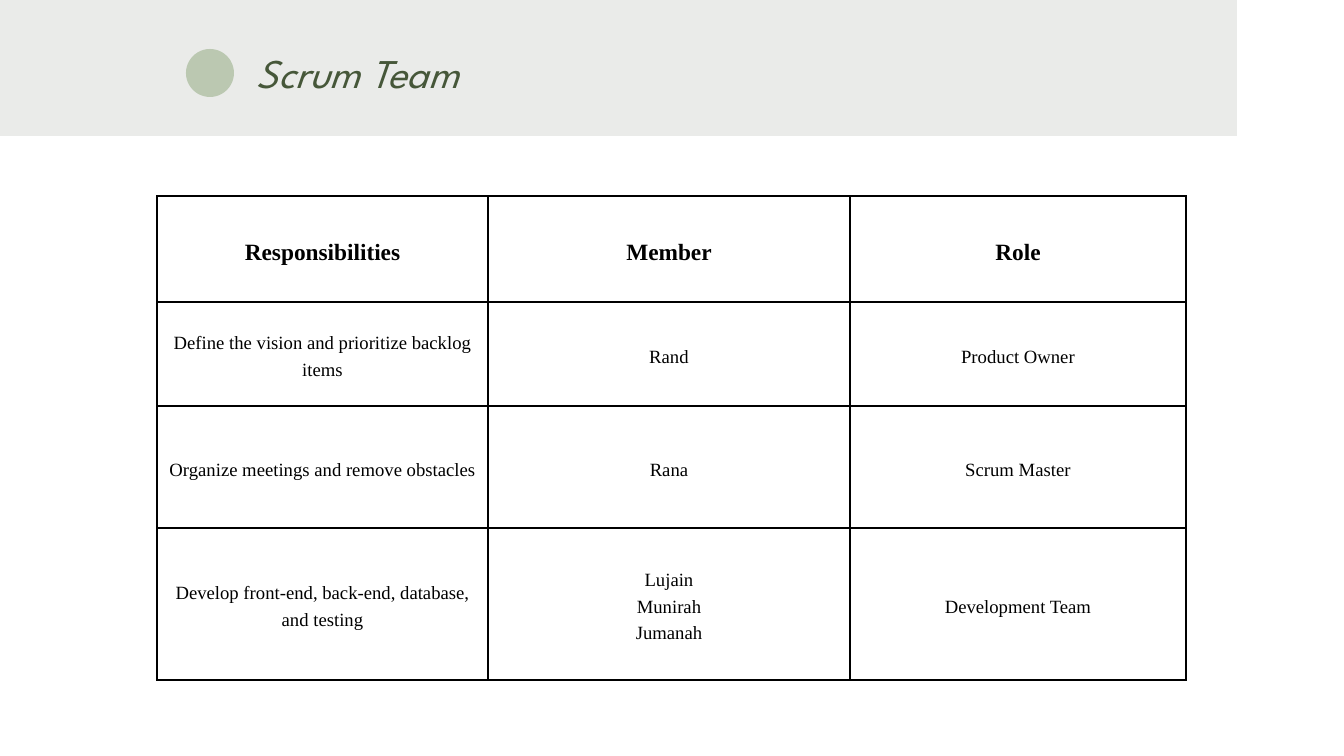
from typing import NamedTuple

from lxml.etree import SubElement
from pptx import Presentation
from pptx.dml.color import RGBColor
from pptx.enum.shapes import MSO_SHAPE
from pptx.enum.text import MSO_ANCHOR, MSO_AUTO_SIZE, PP_ALIGN
from pptx.oxml.ns import qn
from pptx.util import Emu, Pt

PX = 914400 / 67.2
COLORS = {
    "band": "EAEBE9",
    "dot": "BBC8B1",
    "title": "465739",
    "ink": "000000",
}
COL_WIDTHS = (331, 362, 336)
ROW_HEIGHTS = (106, 104, 122, 152)
CELL_MARGIN = 8


class Box(NamedTuple):
    left: int
    top: int
    width: int
    height: int


class TeamRow(NamedTuple):
    responsibilities: str
    member: str
    role: str


HEADER = TeamRow("Responsibilities", "Member", "Role")
TEAM = (
    TeamRow("Define the vision and prioritize backlog items", "Rand", "Product Owner"),
    TeamRow("Organize meetings and remove obstacles", "Rana", "Scrum Master"),
    TeamRow("Develop front-end, back-end, database, and testing",
            "Lujain\nMunirah\nJumanah", "Development Team"),
)


def px(n: int) -> Emu:
    return Emu(round(n * PX))


def emu_box(box: Box) -> list[Emu]:
    return [px(n) for n in box]


def rgb(name: str) -> RGBColor:
    return RGBColor.from_string(COLORS[name])


def write(tf, text: str, *, size: float, leading: float, font: str = "Times New Roman",
          color: str = "ink", bold: bool = False, italic: bool = False,
          align: PP_ALIGN = PP_ALIGN.CENTER) -> None:
    """Fill a text frame, one paragraph for each line of text."""
    tf.text = text
    for p in tf.paragraphs:
        p.alignment = align
        p.line_spacing = Pt(leading)
        p.space_before = p.space_after = Pt(0)
        for r in p.runs:
            r.font.name = font
            r.font.size = Pt(size)
            r.font.bold = bold
            r.font.italic = italic
            r.font.color.rgb = rgb(color)


def add_shape(s, kind: MSO_SHAPE, box: Box, color: str):
    sp = s.shapes.add_shape(kind, *emu_box(box))
    sp.shadow.inherit = False
    sp.fill.solid()
    sp.fill.fore_color.rgb = rgb(color)
    sp.line.fill.background()
    return sp


def set_title(s, text: str, box: Box) -> None:
    sp = s.shapes.title
    sp.left, sp.top, sp.width, sp.height = emu_box(box)
    tf = sp.text_frame
    tf.word_wrap = True
    tf.auto_size = MSO_AUTO_SIZE.NONE
    tf.vertical_anchor = MSO_ANCHOR.TOP
    tf.margin_left = tf.margin_top = tf.margin_right = tf.margin_bottom = 0
    write(tf, text, size=43.7, leading=61.2, font="League Spartan",
          color="title", italic=True, align=PP_ALIGN.LEFT)


def set_borders(cell, color: str, width: float) -> None:
    tc_pr = cell._tc.get_or_add_tcPr()
    for i, side in enumerate(("lnL", "lnR", "lnT", "lnB")):
        ln = SubElement(tc_pr, qn(f"a:{side}"), w=str(Pt(width)))
        fill = SubElement(ln, qn("a:solidFill"))
        SubElement(fill, qn("a:srgbClr"), val=COLORS[color])
        tc_pr.insert(i, ln)  # borders come before the cell fill


def add_team_table(s, left: int, top: int) -> None:
    rows = (HEADER, *TEAM)
    box = Box(left, top, sum(COL_WIDTHS), sum(ROW_HEIGHTS))
    table = s.shapes.add_table(len(rows), len(COL_WIDTHS), *emu_box(box)).table
    table.first_row = table.horz_banding = False
    for col, width in zip(table.columns, COL_WIDTHS):
        col.width = px(width)
    for row, height, entry in zip(table.rows, ROW_HEIGHTS, rows):
        row.height = px(height)
        header = entry is HEADER
        for cell, text in zip(row.cells, entry):
            cell.fill.background()
            set_borders(cell, "ink", 1.44)
            cell.vertical_anchor = MSO_ANCHOR.MIDDLE
            cell.margin_left = cell.margin_right = px(CELL_MARGIN)
            cell.margin_top = cell.margin_bottom = px(CELL_MARGIN)
            write(cell.text_frame, text, size=25 if header else 20,
                  leading=35 if header else 28, bold=header)


def main() -> None:
    prs = Presentation()
    prs.slide_width, prs.slide_height = px(1344), px(756)
    s = prs.slides.add_slide(prs.slide_layouts[5])
    set_title(s, "Scrum Team", Box(257, 40, 468, 58))
    band = add_shape(s, MSO_SHAPE.RECTANGLE, Box(0, 0, 1237, 136), "band")
    dot = add_shape(s, MSO_SHAPE.OVAL, Box(186, 49, 48, 48), "dot")
    for sp in (band, dot):
        s.shapes.title._element.addprevious(sp._element)  # keep the title in front
    add_team_table(s, 157, 196)
    prs.save("out.pptx")


if __name__ == "__main__":
    main()
